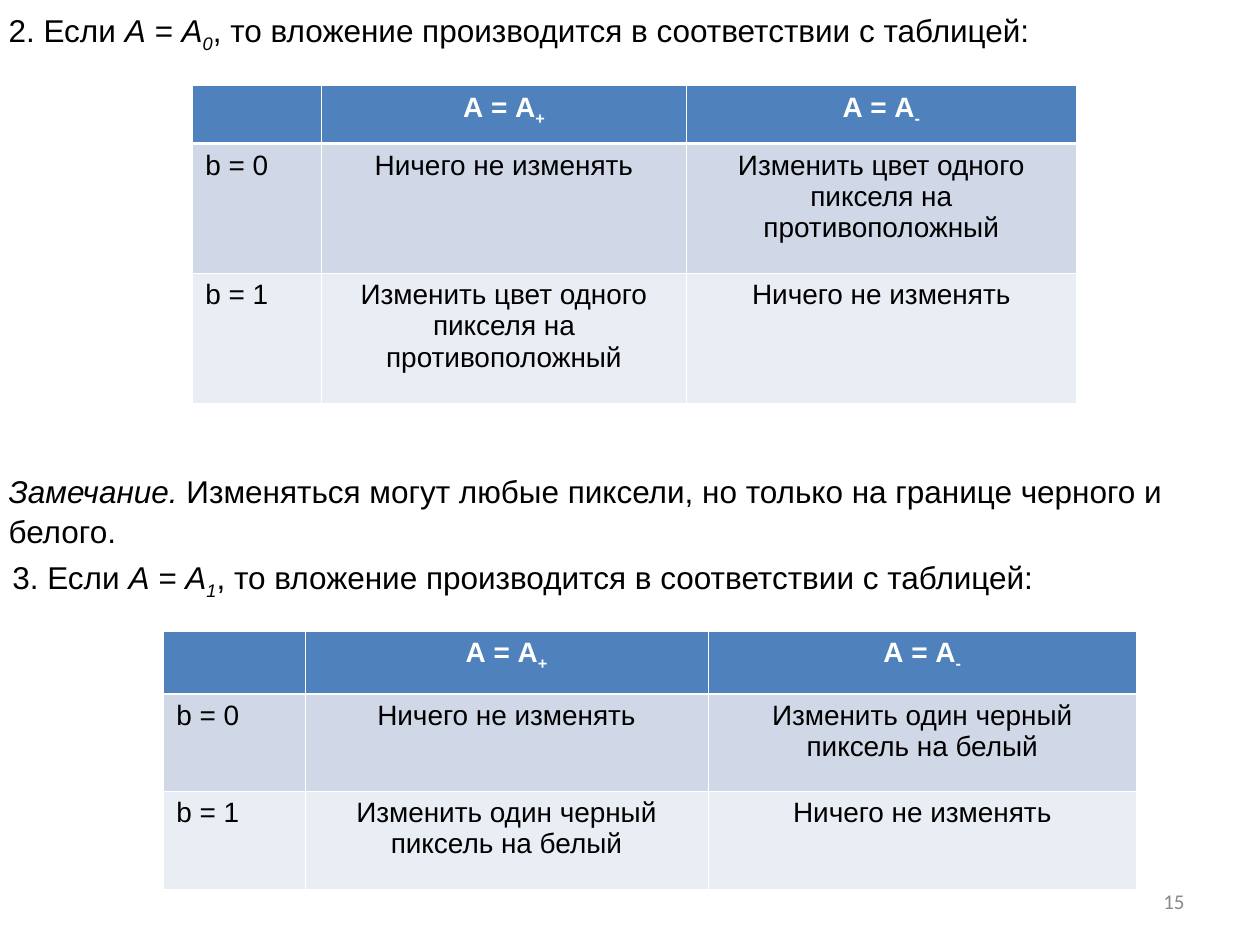
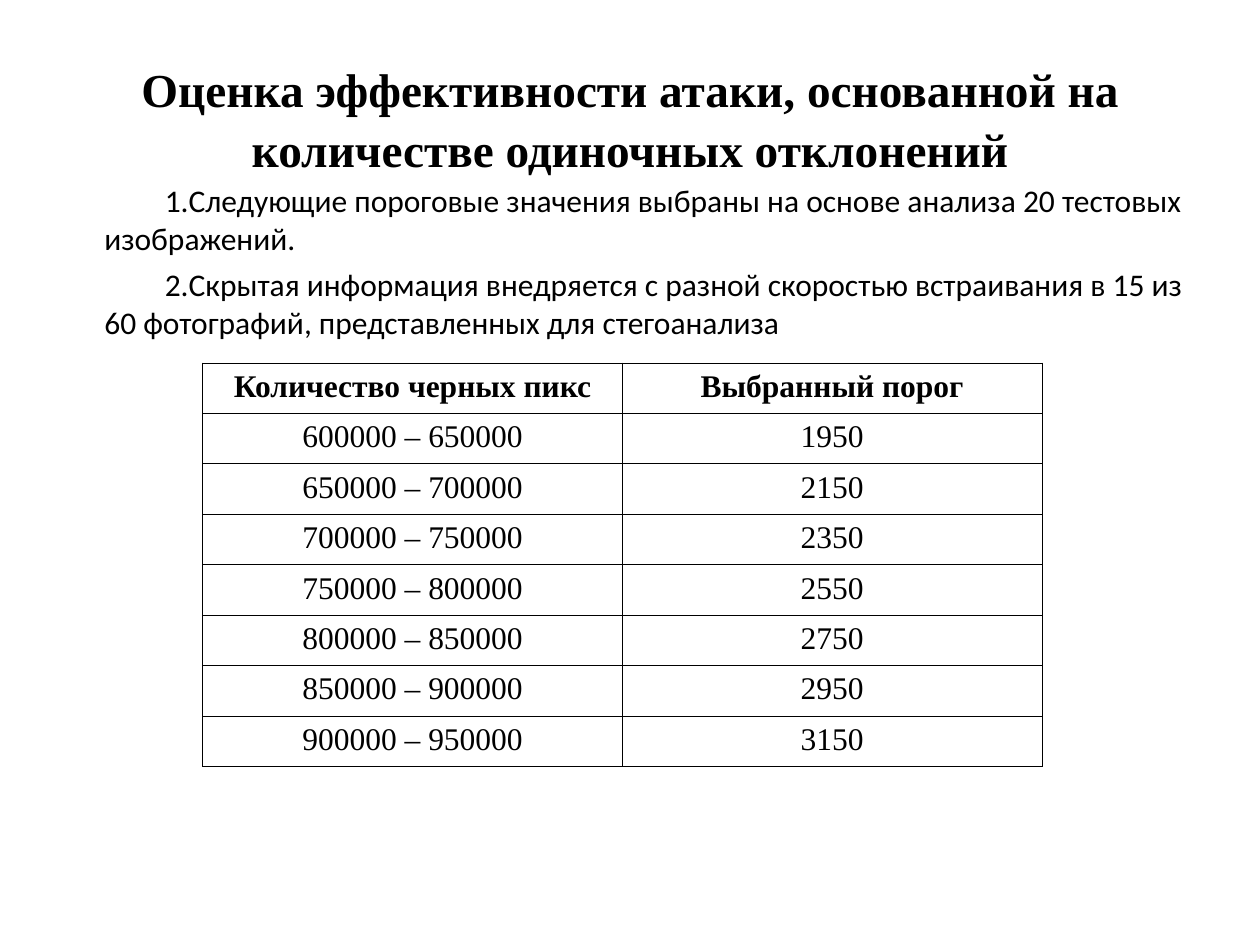
"""Build two slides on hiding data in black-and-white images and on detecting it."""
from lxml import etree
from pptx import Presentation
from pptx import util as u
from pptx.dml.color import RGBColor
from pptx.enum import text
from pptx.oxml import ns

COLORS = {"black": "000000", "white": "FFFFFF", "gray": "898989", "header": "4F81BD",
          "band_dark": "D0D8E8", "band_light": "E9EDF4"}
LEFT, CENTER, RIGHT = text.PP_ALIGN.LEFT, text.PP_ALIGN.CENTER, text.PP_ALIGN.RIGHT
ITALIC = {"italic": True}
ITALIC_SUB = {"italic": True, "sub": True}
SUB = {"sub": True}


class Deck:
    def __init__(self):
        self.presentation = Presentation()
        self.presentation.slide_width = u.Inches(10)
        self.presentation.slide_height = u.Inches(7.5)
        self.slide = None

    def new_slide(self):
        self.slide = self.presentation.slides.add_slide(self.presentation.slide_layouts[6])

    def fill_paragraph(self, paragraph, runs, align=LEFT, name="Arial", size=18,
                       color="black", bold=False):
        paragraph.alignment = align
        paragraph.font.size = u.Pt(size)
        for words, extra in [(runs, {})] if isinstance(runs, str) else runs:
            run = paragraph.add_run()
            run.text = words
            values = {"name": name, "size": u.Pt(size), "bold": bold,
                      "italic": extra.get("italic", False)}
            for key, value in values.items():
                setattr(run.font, key, value)
            run.font.color.rgb = RGBColor.from_string(COLORS[color])
            if extra.get("sub"):
                run._r.get_or_add_rPr().set("baseline", "-25000")

    def text_box(self, place, runs, anchor=text.MSO_ANCHOR.TOP, spacing=1.0, **style):
        frame = self.slide.shapes.add_textbox(*map(u.Inches, place)).text_frame
        frame.word_wrap = True
        frame.vertical_anchor = anchor
        frame.paragraphs[0].line_spacing = spacing
        self.fill_paragraph(frame.paragraphs[0], runs, **style)

    def numbered_list(self, place, items, margin, indent, gap, **style):
        frame = self.slide.shapes.add_textbox(*map(u.Inches, place)).text_frame
        frame.word_wrap = True
        for index, item in enumerate(items):
            paragraph = frame.add_paragraph() if index else frame.paragraphs[0]
            properties = paragraph._p.get_or_add_pPr()
            properties.set("marL", str(u.Inches(margin)))
            properties.set("indent", str(u.Inches(indent)))
            etree.SubElement(properties, ns.qn("a:buFont"), typeface="+mj-lt")
            etree.SubElement(properties, ns.qn("a:buAutoNum"), type="arabicPeriod")
            if index:
                paragraph.space_before = u.Pt(gap)
            self.fill_paragraph(paragraph, item, **style)

    def border(self, cell, color, widths):
        properties = cell._tc.get_or_add_tcPr()
        for side, width in zip("LRTB", widths):
            line = etree.SubElement(properties, ns.qn(f"a:ln{side}"), w=str(u.Pt(width)))
            fill = etree.SubElement(line, ns.qn("a:solidFill"))
            etree.SubElement(fill, ns.qn("a:srgbClr"), val=COLORS[color])

    def table(self, place, columns, heights, rows, fills=None, line="black", head_line=0.45,
              head_color="black", first_align=CENTER, **style):
        size = (sum(columns), sum(heights))
        table = self.slide.shapes.add_table(len(rows), len(columns),
                                            *map(u.Inches, place + size)).table
        table.first_row = table.horz_banding = False
        for column, width in zip(table.columns, columns):
            column.width = u.Inches(width)
        for r, row in enumerate(rows):
            table.rows[r].height = u.Inches(heights[r])
            for c, runs in enumerate(row):
                cell = table.cell(r, c)
                top = head_line if r == 1 else 0.45
                bottom = head_line if r == 0 else 0.45
                self.border(cell, line, (0.45, 0.45, top, bottom))
                if fills:
                    cell.fill.solid()
                    cell.fill.fore_color.rgb = RGBColor.from_string(COLORS[fills[r]])
                else:
                    cell.fill.background()
                self.fill_paragraph(cell.text_frame.paragraphs[0], runs, bold=r == 0,
                                    align=CENTER if c else first_align,
                                    color="black" if r else head_color, **style)

    def embedding_rule(self, place, number, index):
        self.text_box(place, [(f"{number}. Если ", {}), ("А = А", ITALIC), (index, ITALIC_SUB),
                              (", то вложение производится в соответствии с таблицей:", {})])

    def embedding_table(self, place, columns, heights, change):
        keep = "Ничего не изменять"
        heads = [[("А = А", {}), (sign, SUB)] for sign in "+-"]
        rows = [[[]] + heads, ["b = 0", keep, change], ["b = 1", change, keep]]
        self.table(place, columns, heights, rows, ("header", "band_dark", "band_light"),
                   line="white", head_line=1.47, head_color="white", first_align=LEFT, size=16)


def embedding_slide(deck):
    deck.new_slide()
    deck.embedding_rule((-0.03, 0.04, 9.53, 0.44), 2, "0")
    deck.embedding_table((1.53, 0.68), (1.02, 2.9, 3.09), (0.46, 1.03, 1.03),
                         "Изменить цвет одного пикселя на противоположный")
    deck.text_box((-0.03, 3.68, 9.53, 0.7), [
        ("Замечание.", ITALIC),
        (" Изменяться могут любые пиксели, но только на границе черного и белого.", {})],
        spacing=1.06)
    deck.embedding_rule((0, 4.38, 10, 0.44), 3, "1")
    deck.embedding_table((1.3, 5.01), (1.12, 3.2, 3.4), (0.5, 0.77, 0.78),
                         "Изменить один черный пиксель на белый")
    deck.text_box((7.17, 6.95, 2.33, 0.4), "15", anchor=text.MSO_ANCHOR.MIDDLE,
                  align=RIGHT, name="Calibri", size=12, color="gray")


def attack_slide(deck):
    deck.new_slide()
    deck.text_box((0.5, 0.3, 9, 1.25),
                  "Оценка эффективности атаки, основанной на количестве одиночных отклонений",
                  anchor=text.MSO_ANCHOR.MIDDLE, spacing=1.06, align=CENTER,
                  name="Times New Roman", size=27, bold=True)
    deck.numbered_list((0.5, 1.39, 9, 5.31), [
        "Следующие пороговые значения выбраны на основе анализа 20 тестовых изображений.",
        "Скрытая информация внедряется с разной скоростью встраивания в 15 из 60 фотографий, "
        "представленных для стегоанализа"], margin=0.23, indent=0.48, gap=4.5, name="Calibri")
    thresholds = [(f"{600000 + 50000 * step} – {650000 + 50000 * step}", str(1950 + 200 * step))
                  for step in range(7)]
    rows = [("Количество черных пикс", "Выбранный порог")] + thresholds
    deck.table((1.61, 2.88), (3.33, 3.33), (0.4,) * len(rows), rows, name="Times New Roman")


def main():
    deck = Deck()
    embedding_slide(deck)
    attack_slide(deck)
    deck.presentation.save("out.pptx")


if __name__ == "__main__":
    main()
